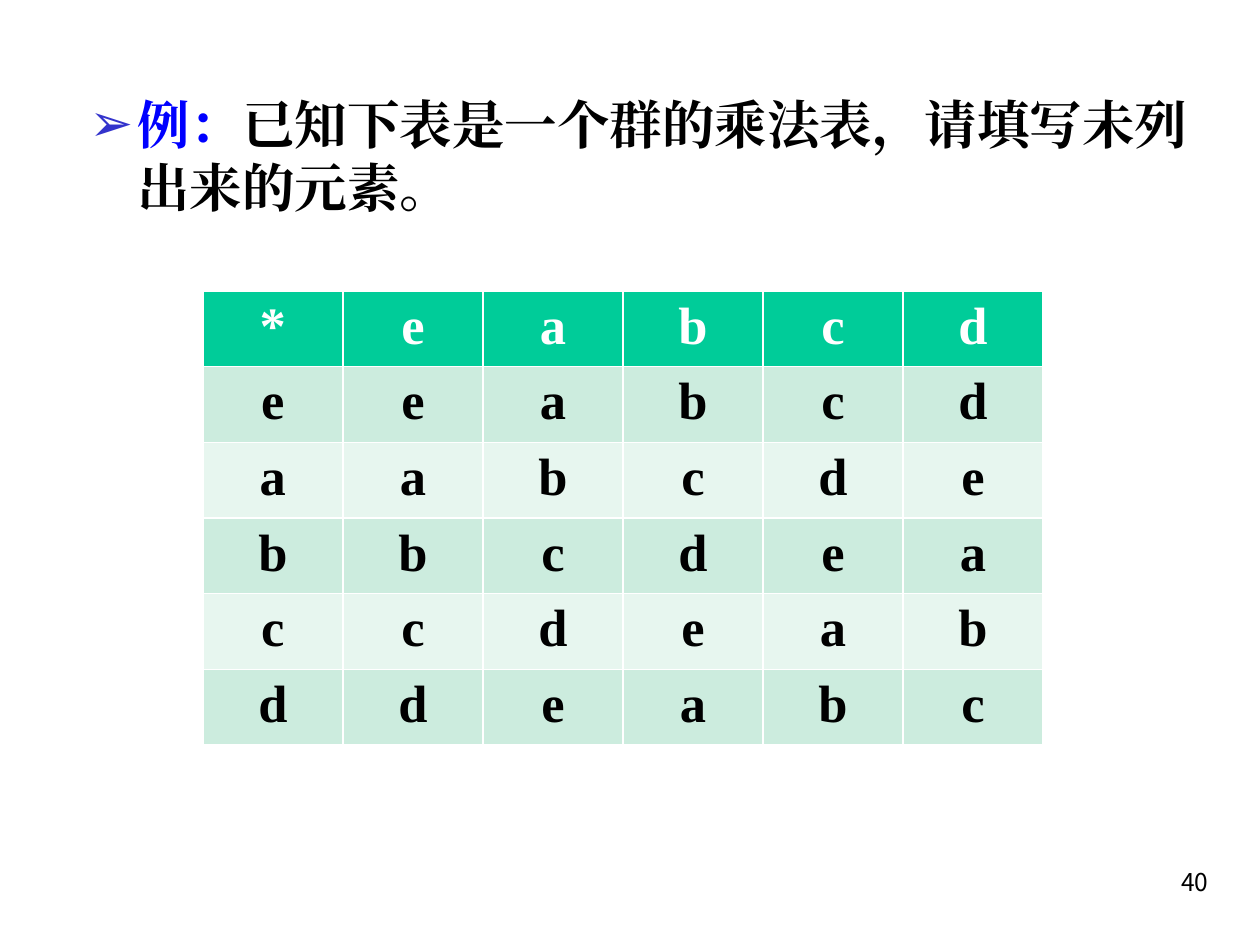
from dataclasses import dataclass

from lxml.etree import SubElement
from pptx import Presentation
from pptx.dml.color import RGBColor
from pptx.enum.text import MSO_ANCHOR, MSO_AUTO_SIZE, PP_ALIGN
from pptx.oxml.ns import qn
from pptx.util import Inches, Pt


@dataclass(frozen=True)
class Theme:
    text_font: str = "Times New Roman"
    number_font: str = "Noto Sans CJK KR"
    text_size: int = 30
    number_size: int = 14
    black: str = "000000"
    white: str = "FFFFFF"
    label: str = "0000FF"
    bullet: str = "3333CC"
    header: str = "00CC99"
    bands: tuple = ("CCECDE", "E7F6EF")


THEME = Theme()
ELEMENTS = "eabcd"
EXERCISE = (
    ("例：", THEME.label),
    ("已知下表是一个群的乘法表，请填写未列出来的元素。", THEME.black),
)


def style_run(run, color, size=THEME.text_size, typeface=THEME.text_font, bold=True):
    font = run.font
    font.name, font.size, font.bold = typeface, Pt(size), bold
    font.color.rgb = RGBColor.from_string(color)
    # East Asian characters take their typeface from a separate element.
    east_asian = SubElement(run._r.get_or_add_rPr(), qn("a:ea"))
    east_asian.set("typeface", typeface)


def set_bullet(paragraph, mark, color, indent):
    properties = paragraph._p.get_or_add_pPr()
    properties.set("marL", str(indent))
    properties.set("indent", str(-indent))
    bullet_color = SubElement(properties, qn("a:buClr"))
    SubElement(bullet_color, qn("a:srgbClr")).set("val", color)
    SubElement(properties, qn("a:buChar")).set("char", mark)


def add_exercise(slide):
    body = slide.placeholders[1]
    body.left, body.top = Inches(0.61), Inches(0.68)
    body.width, body.height = Inches(9.08), Inches(5.7)
    frame = body.text_frame
    frame.auto_size = MSO_AUTO_SIZE.NONE
    frame.vertical_anchor = MSO_ANCHOR.TOP
    statement = frame.paragraphs[0]
    set_bullet(statement, "➢", THEME.bullet, Inches(0.38))
    statement.space_before = Pt(0)
    for words, color in EXERCISE:
        run = statement.add_run()
        run.text = words
        style_run(run, color)


def multiplication_rows():
    """Return the header row and the products of the cyclic group."""
    yield "*" + ELEMENTS
    for shift, element in enumerate(ELEMENTS):
        yield element + ELEMENTS[shift:] + ELEMENTS[:shift]


def fill_cell(cell, symbol, fill, color):
    cell.fill.solid()
    cell.fill.fore_color.rgb = RGBColor.from_string(fill)
    paragraph = cell.text_frame.paragraphs[0]
    paragraph.text = symbol
    paragraph.alignment = PP_ALIGN.CENTER
    style_run(paragraph.runs[0], color)


def add_group_table(slide):
    order = len(ELEMENTS) + 1
    table = slide.shapes.add_table(
        order, order, Inches(1.61), Inches(2.31), Inches(6.67), Inches(3.6)
    ).table
    for row, symbols in enumerate(multiplication_rows()):
        fill = THEME.bands[(row - 1) % 2] if row else THEME.header
        color = THEME.black if row else THEME.white
        for column, symbol in enumerate(symbols):
            fill_cell(table.cell(row, column), symbol, fill, color)


def add_page_number(slide, number):
    frame = slide.shapes.add_textbox(
        Inches(7.61), Inches(6.83), Inches(2.08), Inches(0.5)
    ).text_frame
    frame.word_wrap = True
    paragraph = frame.paragraphs[0]
    paragraph.text = str(number)
    paragraph.alignment = PP_ALIGN.RIGHT
    style_run(paragraph.runs[0], THEME.black, THEME.number_size,
              THEME.number_font, bold=False)


def main():
    deck = Presentation()
    deck.slide_width, deck.slide_height = Inches(10), Inches(7.5)
    slide = deck.slides.add_slide(deck.slide_layouts[1])
    unused_title = slide.shapes.title.element
    unused_title.getparent().remove(unused_title)
    add_exercise(slide)
    add_page_number(slide, 40)
    add_group_table(slide)
    deck.save("out.pptx")


if __name__ == "__main__":
    main()
